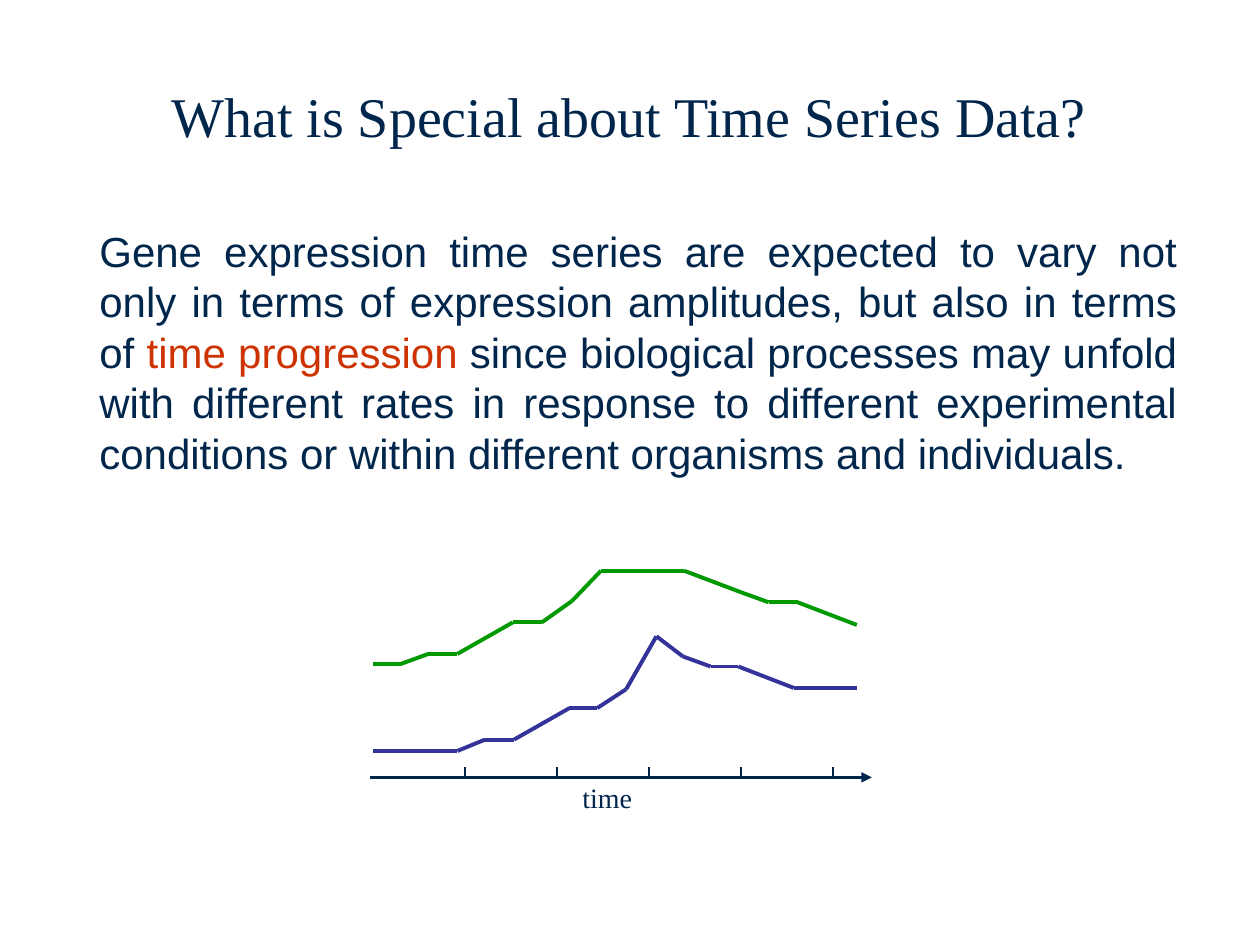
from itertools import pairwise
from lxml.etree import SubElement
from pptx import Presentation
from pptx.dml.color import RGBColor
from pptx.enum.shapes import MSO_CONNECTOR
from pptx.enum.text import MSO_ANCHOR, PP_ALIGN
from pptx.oxml.ns import qn
from pptx.util import Inches, Pt

INK = {"navy": "00264C", "red": "CC3300", "green": "009900",
       "blue": "333399", "white": "FFFFFF"}
COLS, ROWS = 100, 75

deck = Presentation()
deck.slide_width, deck.slide_height = Inches(10), Inches(7.5)
col, row = deck.slide_width / COLS, deck.slide_height / ROWS
slide = deck.slides.add_slide(deck.slide_layouts[6])


def add_text(box, runs, font, size, align):
    """Add a text box at (left, top, width, height) in grid units."""
    x, y, w, h = box
    shape = slide.shapes.add_textbox(
        int(x * col), int(y * row), int(w * col), int(h * row))
    frame = shape.text_frame
    frame.word_wrap = True
    frame.vertical_anchor = MSO_ANCHOR.MIDDLE
    para = frame.paragraphs[0]
    para.alignment = align
    for words, ink in runs:
        run = para.add_run()
        run.text = words
        run.font.name, run.font.size = font, Pt(size)
        run.font.color.rgb = RGBColor.from_string(INK[ink])
    return shape


def add_line(start, end, ink, width):
    """Join two (column, row) points and return the line's XML."""
    (x1, y1), (x2, y2) = start, end
    line = slide.shapes.add_connector(
        MSO_CONNECTOR.STRAIGHT, int(x1 * col), int(y1 * row),
        int(x2 * col), int(y2 * row))
    line.line.color.rgb = RGBColor.from_string(INK[ink])
    line.line.width = Pt(width)
    SubElement(line._element.spPr, qn("a:effectLst"))
    return line.line._get_or_add_ln()


# Title and body
add_text((5.8, 5, 88.3, 8.3),
         [("What is Special about Time Series Data?", "navy")],
         "Times New Roman", 32, PP_ALIGN.CENTER)
body = add_text((6.9, 17.4, 87.5, 21), [
    ("Gene expression time series are expected to vary not only in terms of "
     "expression amplitudes, but also in terms of ", "navy"),
    ("time progression", "red"),
    (" since biological processes may unfold with different rates in response "
     "to different experimental conditions or within different organisms and "
     "individuals.", "navy"),
], "Arial", 24, PP_ALIGN.JUSTIFY)
body.text_frame.vertical_anchor = MSO_ANCHOR.TOP
body.text_frame.paragraphs[0].space_before = Pt(15)

# Time axis with evenly spaced ticks
label = add_text((45.7, 60.8, 5, 5), [("time", "navy")],
                 "Times New Roman", 16, PP_ALIGN.CENTER)
label.text_frame.margin_left = label.text_frame.margin_right = 0
label.fill.solid()
label.fill.fore_color.rgb = RGBColor.from_string(INK["white"])

base = 61.7
axis = add_line((29.4, base), (69.2, base), "navy", 1.5)
SubElement(axis, qn("a:tailEnd"), type="triangle")
for n in range(5):
    x = 36.9 + 7.3 * n
    add_line((x, base - 0.8), (x, base), "navy", 1)

# Expression curves, as (column, row) points
curves = {
    "green": [(29.6, 52.7), (31.8, 52.7), (34, 51.9), (36.3, 51.9),
              (40.7, 49.4), (43, 49.4), (45.4, 47.7), (47.7, 45.3),
              (54.3, 45.3), (58.8, 47), (61, 47.8), (63.3, 47.8),
              (68, 49.6)],
    "blue": [(29.6, 59.6), (36.3, 59.6), (38.5, 58.7), (40.8, 58.7),
             (45.2, 56.2), (47.4, 56.2), (49.7, 54.7), (52.1, 50.5),
             (54.2, 52.1), (56.4, 52.9), (58.6, 52.9), (63, 54.6),
             (68, 54.6)],
}
for ink, points in curves.items():
    for start, end in pairwise(points):
        add_line(start, end, ink, 2.25)

deck.save("out.pptx")
